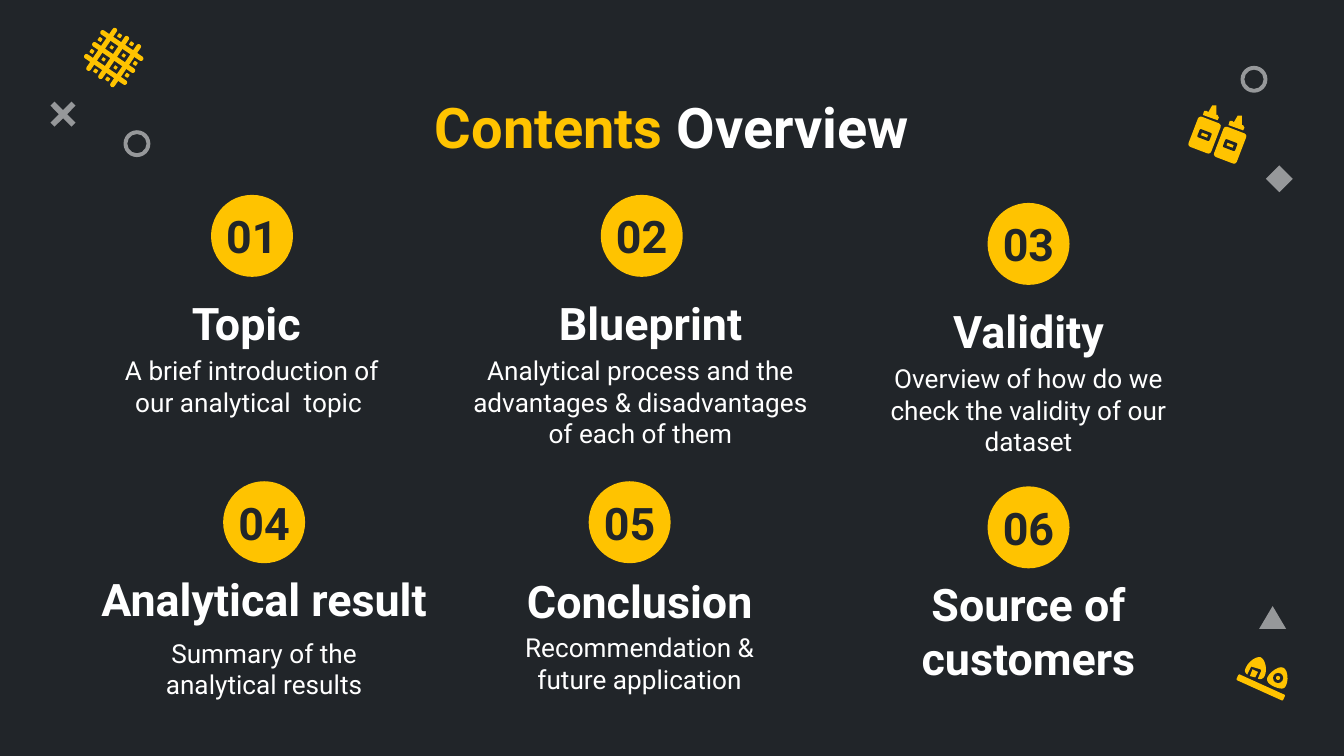
from dataclasses import dataclass
from itertools import product
from math import cos, radians, sin

from lxml.etree import SubElement
from pptx import Presentation
from pptx.dml.color import RGBColor
from pptx.enum.shapes import MSO_SHAPE as Shape
from pptx.enum.text import MSO_ANCHOR as Anchor, PP_ALIGN as Align
from pptx.oxml.ns import qn
from pptx.util import Pt


@dataclass(frozen=True)
class Theme:
    font: str = "Roboto"
    dark: str = "212529"
    yellow: str = "FFC300"
    white: str = "FFFFFF"
    ornament_alpha: int = 53
    title: int = 30
    heading: int = 24
    body: int = 14


@dataclass(frozen=True)
class Topic:
    """One contents entry; center and top locate its badge, shifts move its texts."""
    number: str
    heading: str
    description: str
    center: float
    top: float
    heading_gap: float = 55.4
    heading_shift: float = 0
    heading_width: float = 168.5
    description_gap: float = 23
    description_shift: float = 0
    description_width: float = 168.5


THEME = Theme()
BADGE = 43.9
LINE_BOX = 34.6

TOPICS = [
    Topic("01", "Topic ", "A brief introduction of our analytical  topic ", 135, 104.4),
    Topic("02", "Blueprint", "Analytical process and the advantages & disadvantages of each of them",
          343.8, 104.4, heading_shift=4.7, description_shift=-0.7, description_width=195),
    Topic("03", "Validity", "Overview of how do we check the validity of our dataset", 551, 108.7),
    Topic("04", "Analytical result", "Summary of the analytical results",
          141.5, 257.8, heading_gap=49.7, heading_width=206.6, description_gap=26.6),
    Topic("05", "Conclusion", "Recommendation & future application",
          337.3, 257.8, heading_gap=51.1, heading_shift=5.4, description_gap=22.3,
          description_shift=5.4),
    Topic("06", "Source of customers", "", 551, 260.6, heading_gap=78.5),
]

# Straight segments have two numbers, cubic curves have six.
NOZZLE = [(5.6, -15.9), (4.1, -15.9), (2, -12.3), (1.2, -13), (-0.2, -13), (-0.9, -10.8),
          (7, -8), (7.7, -9.4), (7, -10.8), (6.3, -10.8), (6.3, -15.9)]
ARCHED_PIECE = [(13.4, 1.1), (11.2, 0.4, 6.9, 3.2, 5.4, 6.8), (4.7, 8.3, 4.7, 9, 6.2, 10.4),
                (8.3, 6.1), (13.4, 7.6), (13.4, 8.3, 14.1, 8.3, 13.4, 9), (11.9, 12.6),
                (13.4, 13.3, 14.8, 12.6, 15.5, 11.2), (17, 8.3, 16.2, 2.5, 13.4, 1.1)]
ARCH_FILLING = [(9, 7.6), (7.6, 11.2), (10.5, 11.9), (11.9, 9)]
ROUND_PIECE = [(25.6, 6.8), (23.4, 5.4, 18.4, 9, 17, 11.9), (16.2, 14, 17.7, 15.5, 20.6, 16.9),
               (24.2, 18.4, 26.3, 18.4, 27, 16.2), (28.5, 13.3, 27.8, 7.6, 25.6, 6.8)]


def paint(part, color):
    part.shadow.inherit = False
    part.fill.solid()
    part.fill.fore_color.rgb = RGBColor.from_string(color)
    part.line.fill.background()


def add_centered(shapes, kind, x, y, width, height, color, angle=0, adjust=None):
    part = shapes.add_shape(kind, Pt(x - width / 2), Pt(y - height / 2), Pt(width), Pt(height))
    part.rotation = angle
    if adjust is not None:
        part.adjustments[0] = adjust
    paint(part, color)
    return part


def add_outline(shapes, segments, x, y, color, steps=6):
    points = [segments[0]]
    for segment in segments[1:]:
        if len(segment) == 2:
            points.append(segment)
            continue
        controls = [points[-1], segment[:2], segment[2:4], segment[4:]]
        for step in range(1, steps + 1):
            t = step / steps
            weights = ((1 - t) ** 3, 3 * t * (1 - t) ** 2, 3 * t * t * (1 - t), t ** 3)
            points.append(tuple(sum(w * c[axis] for w, c in zip(weights, controls))
                                for axis in (0, 1)))
    placed = [(Pt(x + dx), Pt(y + dy)) for dx, dy in points]
    builder = shapes.build_freeform(*placed[0], scale=1.0)
    builder.add_line_segments(placed[1:], close=True)
    paint(builder.convert_to_shape(), color)


def add_text(shapes, box, runs, size, bold=True, anchor=Anchor.TOP):
    frame = shapes.add_textbox(*map(Pt, box)).text_frame
    layout = dict(word_wrap=True, vertical_anchor=anchor, margin_left=Pt(7.2),
                  margin_right=Pt(7.2), margin_top=Pt(7.2), margin_bottom=Pt(7.2))
    for name, value in layout.items():
        setattr(frame, name, value)
    paragraph = frame.paragraphs[0]
    paragraph.alignment = Align.CENTER
    for words, color in runs:
        run = paragraph.add_run()
        run.text = words
        for name, value in dict(name=THEME.font, size=Pt(size), bold=bold).items():
            setattr(run.font, name, value)
        run.font.color.rgb = RGBColor.from_string(color)


def add_topic(shapes, topic):
    middle = topic.top + BADGE / 2
    add_centered(shapes, Shape.OVAL, topic.center, middle, BADGE, BADGE, THEME.yellow)
    add_text(shapes, (topic.center - 29.2, middle - LINE_BOX / 2, 58.4, LINE_BOX),
             [(topic.number, THEME.dark)], THEME.heading, anchor=Anchor.MIDDLE)
    heading_top = topic.top + topic.heading_gap
    heading_left = topic.center + topic.heading_shift - topic.heading_width / 2
    add_text(shapes, (heading_left, heading_top, topic.heading_width, LINE_BOX),
             [(topic.heading, THEME.white)], THEME.heading, anchor=Anchor.BOTTOM)
    if topic.description:
        left = topic.center + topic.description_shift - topic.description_width / 2
        add_text(shapes, (left, heading_top + topic.description_gap,
                          topic.description_width, 39.6),
                 [(topic.description, THEME.white)], THEME.body, bold=False)


def add_waffle(shapes, x, y, angle=34.2, pitch=7.75):
    """Three bars each way, with crumbs in the holes and around the rim."""
    across, down = cos(radians(angle)), sin(radians(angle))

    def add_piece(u, v, width, height, roundness):
        add_centered(shapes, Shape.ROUNDED_RECTANGLE, x + u * across - v * down,
                     y + u * down + v * across, width, height, THEME.yellow, angle, roundness)

    for offset in (-pitch, 0, pitch):
        add_piece(offset, 0, 2.6, 27.4, 0.5)
        add_piece(0, offset, 27.4, 2.6, 0.5)
    half, rim = pitch / 2, 11.4
    for u, v in product((-half, half), repeat=2):
        add_piece(u, v, 1.75, 1.75, 0)
    for side, edge in product((-half, half), (-rim, rim)):
        add_piece(side, edge, 2.1, 2.1, 0.2)
        add_piece(edge, side, 2.1, 2.1, 0.2)


def add_bottle(shapes, x, y, angle=21):
    for width, height, color, roundness in ((13, 17.3, THEME.yellow, 0.13),
                                            (6.9, 4.6, THEME.dark, 0.15),
                                            (3.5, 1.5, THEME.yellow, 0)):
        add_centered(shapes, Shape.ROUNDED_RECTANGLE, x, y, width, height, color, angle, roundness)
    add_outline(shapes, NOZZLE, x, y, THEME.yellow)


def add_snack_board(shapes, x, y):
    for piece in (ARCHED_PIECE, ARCH_FILLING, ROUND_PIECE):
        add_outline(shapes, piece, x, y, THEME.yellow)
    for size, color in ((5.4, THEME.dark), (2.2, THEME.yellow)):
        add_centered(shapes, Shape.OVAL, x + 22.7, y + 12.2, size, size, color)
    add_centered(shapes, Shape.ROUNDED_RECTANGLE, x + 13.4, y + 17.3, 27.4, 3.4,
                 THEME.yellow, 24.3, 0.2)


def add_ornaments(shapes):
    for kind, x, y, width, height, adjust in (
            (Shape.DONUT, 671.8, 42.5, 14.4, 14.4, 0.142),
            (Shape.DONUT, 73.4, 77, 14.4, 14.4, 0.142),
            (Shape.MATH_MULTIPLY, 33.8, 61.2, 21.6, 21.6, 0.143),
            (Shape.ISOSCELES_TRIANGLE, 681.8, 330.8, 14.4, 12.2, 0.5),
            (Shape.DIAMOND, 685.4, 95.8, 14.4, 14.4, None)):
        ornament = add_centered(shapes, kind, x, y, width, height, THEME.white, adjust=adjust)
        color = ornament.fill._xPr.find(qn("a:solidFill"))[0]
        SubElement(color, qn("a:alpha"), val=str(THEME.ornament_alpha * 1000))


def main():
    deck = Presentation()
    deck.slide_width, deck.slide_height = Pt(720), Pt(405)
    slide = deck.slides.add_slide(deck.slide_layouts[6])
    slide.background.fill.solid()
    slide.background.fill.fore_color.rgb = RGBColor.from_string(THEME.dark)
    shapes = slide.shapes
    add_snack_board(shapes, 662, 351)
    add_waffle(shapes, 60.9, 30.8)
    add_ornaments(shapes)
    for x, y in ((659, 77.8), (645.3, 72.4)):
        add_bottle(shapes, x, y)
    add_text(shapes, (153.4, 42.5, 413.3, 37.4),
             [("Contents ", THEME.yellow), ("Overview", THEME.white)], THEME.title)
    for topic in TOPICS:
        add_topic(shapes, topic)
    deck.save("out.pptx")


if __name__ == "__main__":
    main()
